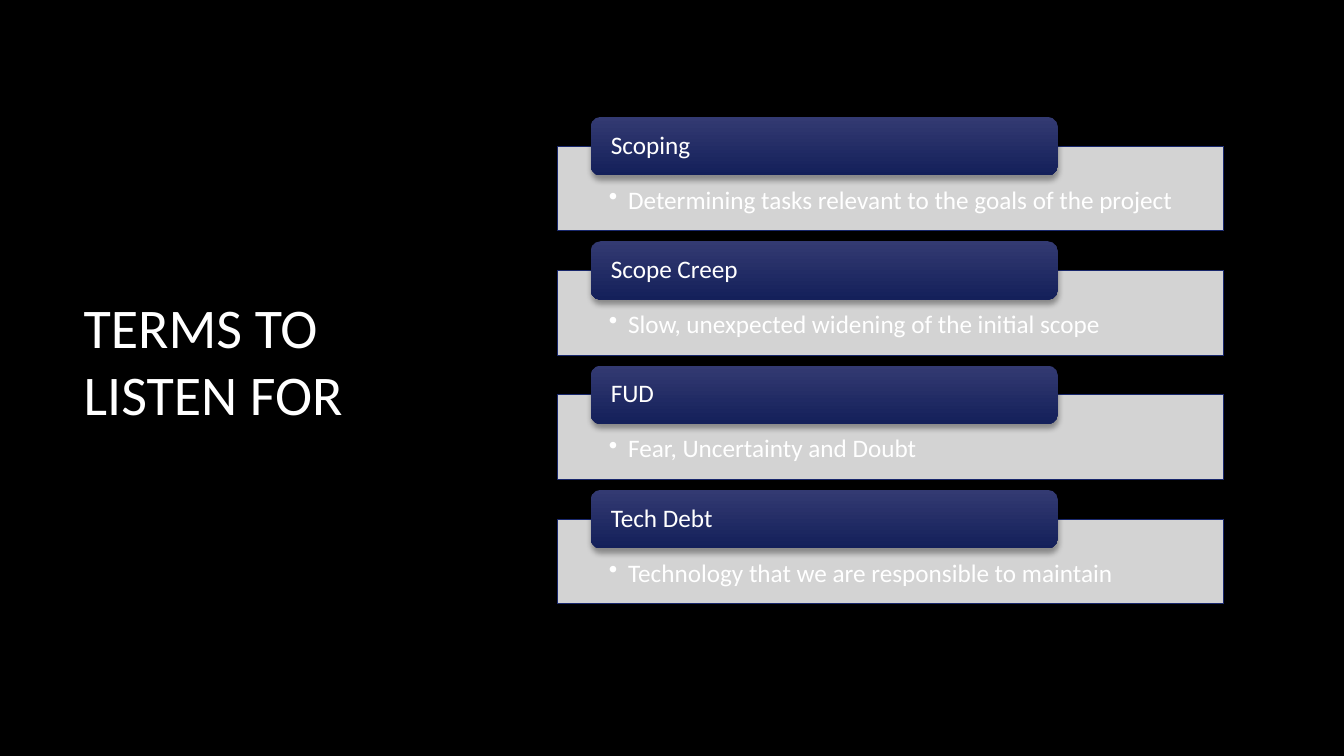
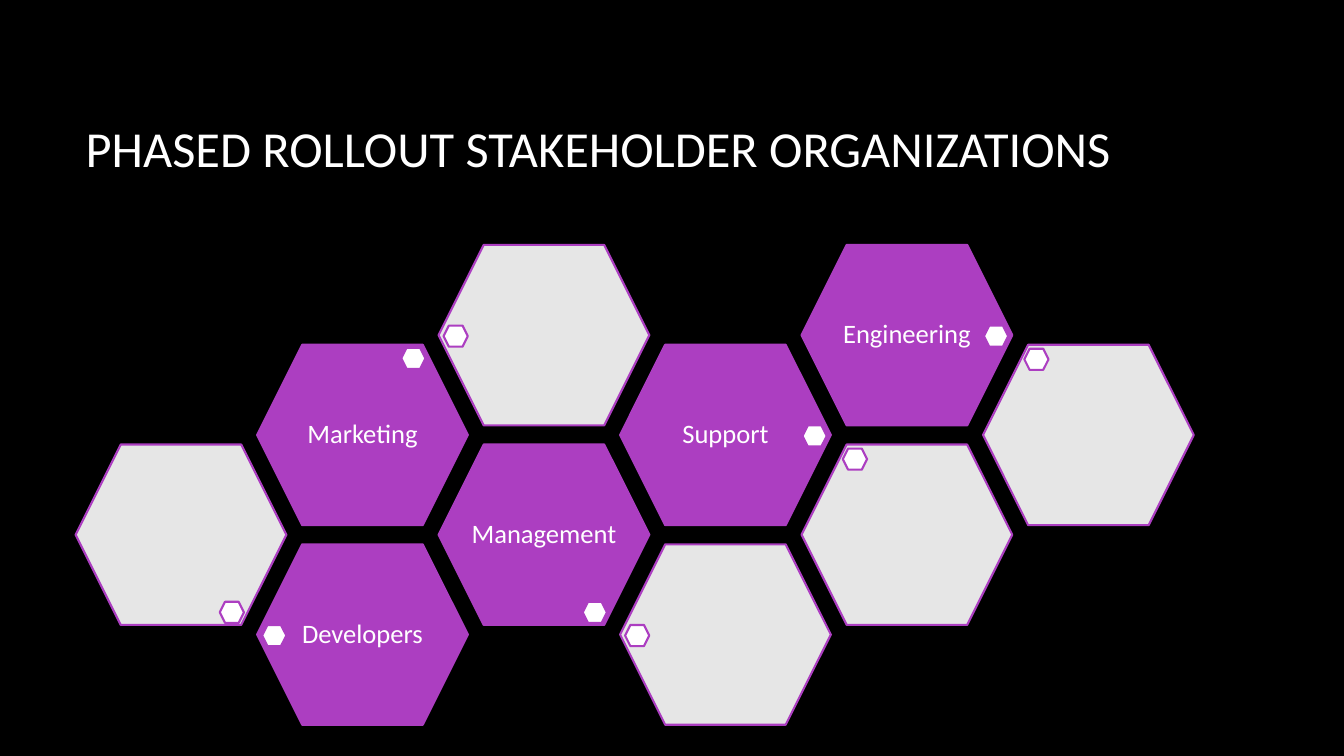
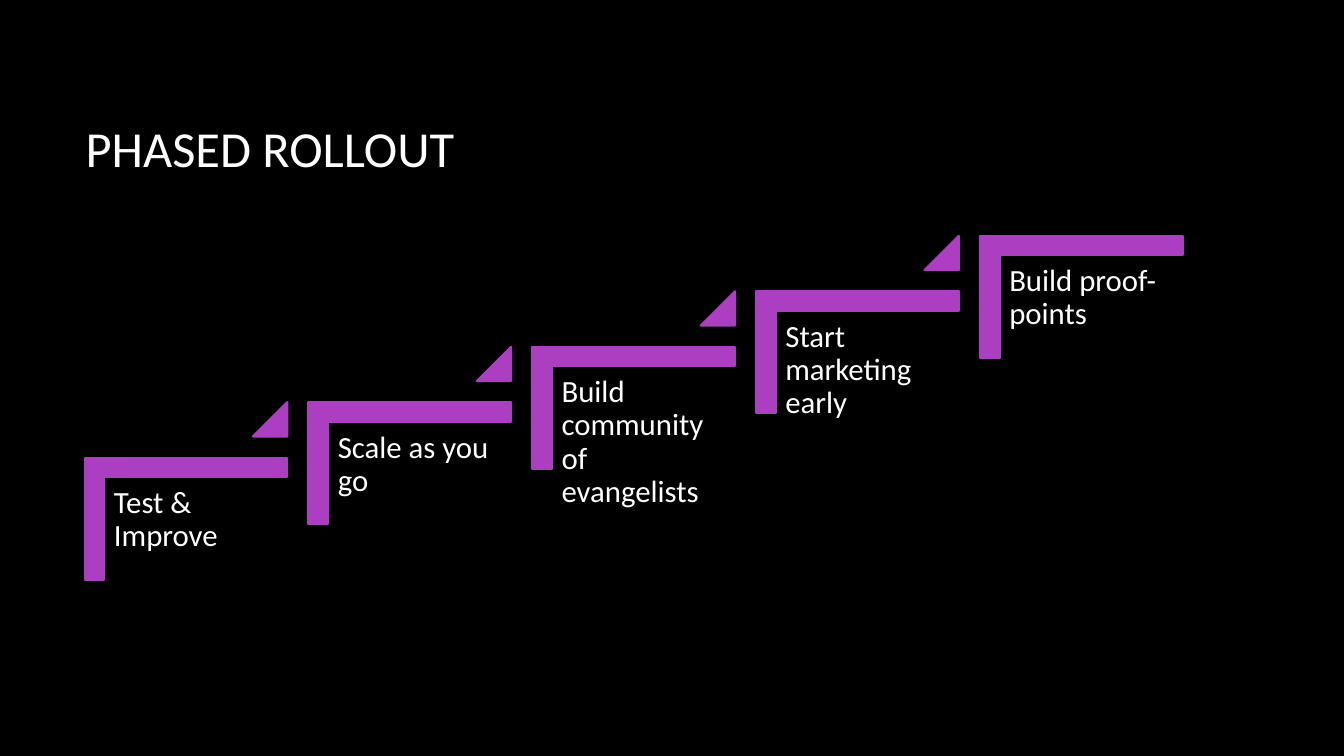
from lxml.etree import SubElement
from pptx import Presentation
from pptx.dml.color import RGBColor
from pptx.enum.shapes import MSO_SHAPE as Kind
from pptx.enum.text import MSO_ANCHOR as Anchor, MSO_AUTO_SIZE as Auto, PP_ALIGN as Align
from pptx.oxml import parse_xml
from pptx.oxml.ns import nsdecls, qn
from pptx.util import Inches, Pt

# Shared look
FONT, BLACK, WHITE, PURPLE = "Calibri", "000000", "FFFFFF", "AC3EC1"
NAVY, GREY = "18276C", "EBEBEB"
DARK, DEEP = "333A72", "14205A"
rgb = RGBColor.from_string


def write(shape, text, size=18, align=Align.LEFT, anchor=Anchor.MIDDLE,
          inset=(0.1, 0.05, 0.1, 0.05), lead=0.9, bullet=None):
    frame = shape.text_frame
    frame.word_wrap = True
    frame.auto_size = Auto.NONE
    frame.vertical_anchor = anchor
    (frame.margin_left, frame.margin_top,
     frame.margin_right, frame.margin_bottom) = map(Inches, inset)
    para = frame.paragraphs[0]
    para.alignment = align
    para.line_spacing = lead
    if bullet:
        props = para._p.get_or_add_pPr()
        props.set("marL", str(Inches(0.19)))
        props.set("indent", str(Inches(-0.19)))
        SubElement(props, qn("a:buChar")).set("char", bullet)
    run = para.add_run()
    run.text = text
    run.font.name = FONT
    run.font.size = Pt(size)
    run.font.color.rgb = rgb(WHITE)


def draw(slide, kind, box, fill, line=PURPLE, width=1.5, alpha=None):
    shape = slide.shapes.add_shape(kind, *map(Inches, box))
    shape.shadow.inherit = False
    shape.fill.solid()
    shape.fill.fore_color.rgb = rgb(fill)
    if alpha:
        tint = shape._element.spPr.find(qn("a:solidFill"))[0]
        SubElement(tint, qn("a:alpha")).set("val", str(alpha * 1000))
    shape.line.color.rgb = rgb(line)
    shape.line.width = Pt(width)
    return shape


# Deck with a black master
deck = Presentation()
deck.slide_width, deck.slide_height = Inches(13.33), Inches(7.5)
back = deck.slide_master.background.fill
back.solid()
back.fore_color.rgb = rgb(BLACK)

# Slides and titles
WIDE = (0.75, 0.67, 11.08, 1.59)
slides = []
for text, size, box in [
    ("TERMS TO LISTEN FOR", 40, (0.73, 1.56, 3.31, 4.02)),
    ("PHASED ROLLOUT STAKEHOLDER ORGANIZATIONS", 36, WIDE),
    ("PHASED ROLLOUT", 36, WIDE),
]:
    slide = deck.slides.add_slide(deck.slide_layouts[5])
    title = slide.shapes.title
    title.left, title.top, title.width, title.height = map(Inches, box)
    write(title, text, size=size, lead=1.0)
    slides.append(slide)
terms, groups, phases = slides

# Terms: a bar for the meaning, a tab for the name
notes = [
    ("Scoping", "Determining tasks relevant to the goals of the project"),
    ("Scope Creep", "Slow, unexpected widening of the initial scope"),
    ("FUD", "Fear, Uncertainty and Doubt"),
    ("Tech Debt", "Technology that we are responsible to maintain"),
]
pitch = (5.15 - 1.45) / 3
for i, (name, sense) in enumerate(notes):
    top = 1.45 + i * pitch
    bar = draw(terms, Kind.RECTANGLE, (5.53, top, 6.61, 0.84), GREY,
               line=NAVY, width=0.75, alpha=90)
    write(bar, sense, anchor=Anchor.TOP, inset=(0.51, 0.41, 0.51, 0.14), bullet="•")

    tab = draw(terms, Kind.ROUNDED_RECTANGLE, (5.86, top - 0.29, 4.63, 0.58), DARK)
    tab.line.fill.background()
    tab.fill.gradient()
    tab.fill.gradient_angle = 270
    for stop, place, tone in zip(tab.fill.gradient_stops, (0, 1), (DARK, DEEP)):
        stop.position = place
        stop.color.rgb = rgb(tone)
    glow = tab._element.spPr.find(qn("a:effectLst"))
    glow.append(parse_xml(
        f'<a:outerShdw {nsdecls("a")} blurRad="{Pt(4)}" dist="{Pt(3)}" dir="5400000" '
        f'rotWithShape="0"><a:srgbClr val="{BLACK}"><a:alpha val="35000"/>'
        '</a:srgbClr></a:outerShdw>'))
    write(tab, name, inset=(0.17, 0, 0.17, 0))

# Stakeholders: honeycomb of column, row, name and dot offset
LEFT, RIGHT = (0.05, 0.8), (1.81, 0.8)
HIGH_L, HIGH_R, LOW_R = (0.41, 0.04), (1.43, 0.03), (1.43, 1.56)
cells = [
    (1, 3, "Developers", LEFT), (0, 2, "", LOW_R),
    (2, 2, "Management", LOW_R), (3, 3, "", LEFT),
    (1, 1, "Marketing", HIGH_R), (2, 0, "", LEFT),
    (3, 1, "Support", RIGHT), (4, 2, "", HIGH_L),
    (4, 0, "Engineering", RIGHT), (5, 1, "", HIGH_L),
]
for col, row, name, (dx, dy) in cells:
    x, y = 0.75 + 1.8 * col, 2.43 + 0.99 * row
    cell = draw(groups, Kind.HEXAGON, (x, y, 2.09, 1.79),
                PURPLE if name else WHITE, alpha=None if name else 90)
    if name:
        write(cell, name, size=19, align=Align.CENTER, inset=(0, 0.03, 0, 0.03))
    draw(groups, Kind.HEXAGON, (x + dx, y + dy, 0.24, 0.21), WHITE)

# Phases: rising steps with a triangle between neighbours
steps = ["Test & Improve", "Scale as you go", "Build community of evangelists",
         "Start marketing early", "Build proof-points"]
corner = Kind.from_xml("corner")
for i, name in enumerate(steps):
    x, y = 1.04 + i * 2.22, 4.74 - i * 0.55
    step = draw(phases, corner, (x + 0.2, y - 0.6, 1.21, 2.01), PURPLE)
    step.rotation = 90
    step.adjustments[0] = step.adjustments[1] = 0.16
    label = phases.shapes.add_textbox(*map(Inches, (x, y, 1.81, 1.59)))
    write(label, name, size=22, anchor=Anchor.TOP, inset=(0.09,) * 4)
    if i < len(steps) - 1:
        mark = draw(phases, Kind.ISOSCELES_TRIANGLE, (x + 1.47, y - 0.75, 0.34, 0.34), PURPLE)
        mark.adjustments[0] = 1

deck.save("out.pptx")
